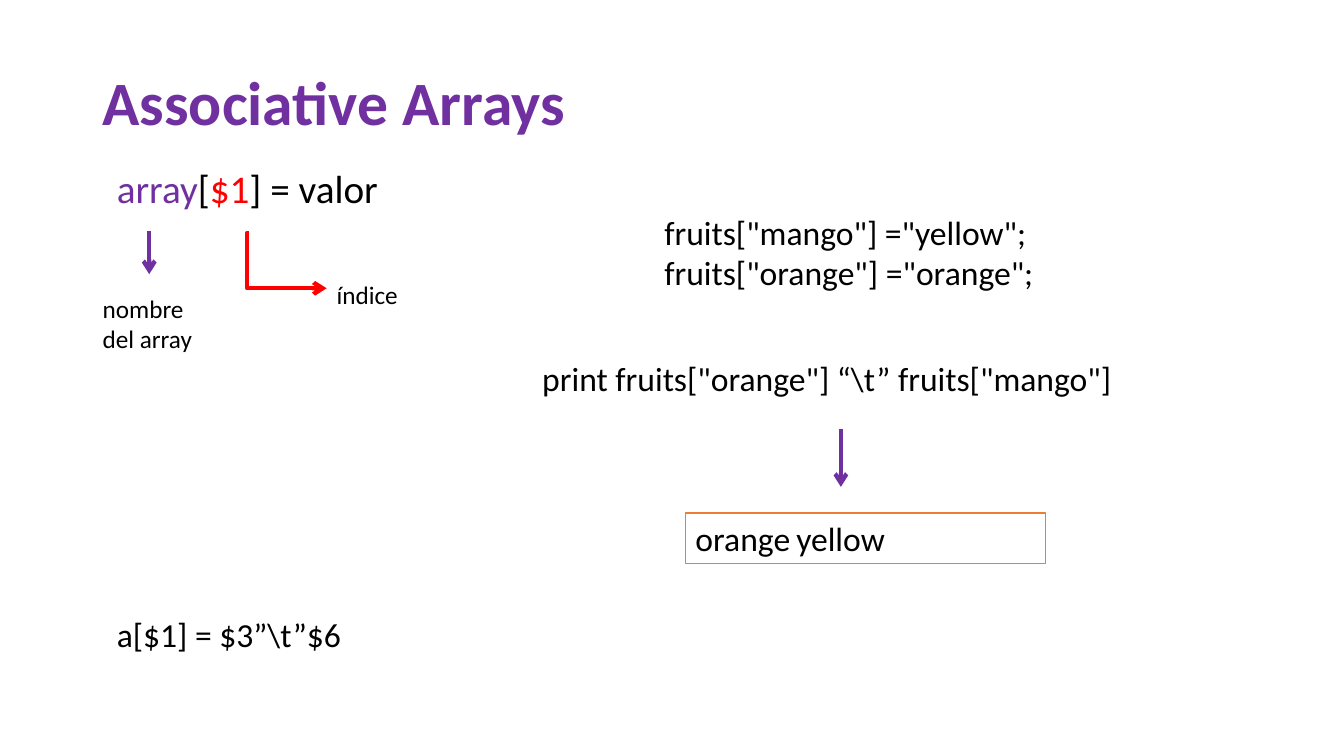
from lxml.etree import SubElement
from pptx import Presentation
from pptx.dml.color import RGBColor
from pptx.enum.shapes import MSO_CONNECTOR as Connector, MSO_SHAPE as Shape
from pptx.enum.text import MSO_ANCHOR as Anchor
from pptx.oxml.ns import qn
from pptx.util import Inches, Pt

COLORS = {"purple": "7030A0", "red": "FF0000", "black": "000000",
          "white": "FFFFFF", "orange": "ED7D31"}
FONT = "Calibri"

# Left edges shared by several parts
MARGIN, CODE_LEFT = 0.92, 1.06

# Each text: box (left, top, width, height), size, paragraphs of (text, color) runs
TITLE = ((MARGIN, 0.32, 11.5, 1.45), 44, [[("Associative Arrays", "purple")]])
SYNTAX = ((CODE_LEFT, 1.63, 4.22, 4.76), 28,
          [[("array", "purple"), ("[", "black"), ("$1", "red"), ("] = valor", "black")]])
OUTPUT = ((6.8, 5.09, 3.57, 0.5), 24, [[("orange\tyellow", "black")]])
TEXTS = [
    ((MARGIN, 2.86, 1.25, 1.01), 18, [[("nombre del array", "black")]]),
    ((3.24, 2.72, 1.11, 0.4), 18, [[("índice", "black")]]),
    ((6.49, 2.05, 5.65, 0.91), 24, [[('fruits["mango"] ="yellow";', "black")],
                                    [('fruits["orange"] ="orange";', "black")]]),
    ((5.28, 3.5, 7.47, 0.5), 24,
     [[('print fruits["orange"] “\\t” fruits["mango"]', "black")]]),
    ((CODE_LEFT, 6.04, 3.92, 0.5), 24, [[("a[$1] = $3”\\t”$6", "black")]]),
]

# Each arrow: kind, start, end, color
NAME_ARROW = (Connector.STRAIGHT, (1.48, 2.29), (1.48, 2.72), "purple")
INDEX_ARROW = (Connector.ELBOW, (2.47, 2.31), (3.24, 2.86), "red")
OUTPUT_ARROW = (Connector.STRAIGHT, (8.34, 4.26), (8.34, 4.83), "purple")
INDEX_BEND = -0.026  # share of the arrow's width


def color(name):
    """Return the named color."""
    return RGBColor.from_string(COLORS[name])


def write(shape, size, paragraphs):
    """Fill a shape with paragraphs of colored runs."""
    frame = shape.text_frame
    frame.word_wrap = True
    for index, runs in enumerate(paragraphs):
        paragraph = frame.add_paragraph() if index else frame.paragraphs[0]
        for text, name in runs:
            run = paragraph.add_run()
            run.text = text
            run.font.name, run.font.size = FONT, Pt(size)
            run.font.color.rgb = color(name)


def add_text(slide, box, size, paragraphs):
    """Add a text box and return its text frame."""
    shape = slide.shapes.add_textbox(*map(Inches, box))
    write(shape, size, paragraphs)
    return shape.text_frame


def add_output(slide, box, size, paragraphs):
    """Add the outlined box with the printed result."""
    shape = slide.shapes.add_shape(Shape.RECTANGLE, *map(Inches, box))
    shape.shadow.inherit = False
    shape.fill.solid()
    shape.fill.fore_color.rgb = color("white")
    shape.line.color.rgb = color("orange")
    shape.line.width = Pt(1)
    shape.text_frame.vertical_anchor = Anchor.TOP
    write(shape, size, paragraphs)
    for paragraph in shape.text_frame.paragraphs:
        paragraph.alignment = 1


def add_arrow(slide, kind, start, end, name):
    """Add a connector with an open arrowhead at its end."""
    arrow = slide.shapes.add_connector(kind, *map(Inches, start + end))
    arrow.line.color.rgb = color(name)
    arrow.line.width = Pt(3)
    properties = arrow._element.spPr
    SubElement(properties.find(qn("a:ln")), qn("a:tailEnd"), type="arrow")
    SubElement(properties, qn("a:effectLst"))
    return arrow


def bend(arrow, share):
    """Place the turn of an elbow arrow at a share of its width."""
    geometry = arrow._element.spPr.find(qn("a:prstGeom"))
    guides = geometry.find(qn("a:avLst"))
    if guides is None:
        guides = SubElement(geometry, qn("a:avLst"))
    SubElement(guides, qn("a:gd"), name="adj1", fmla=f"val {round(share * 100000)}")


presentation = Presentation()
presentation.slide_width, presentation.slide_height = Inches(13.33), Inches(7.5)
slide = presentation.slides.add_slide(presentation.slide_layouts[6])

title = add_text(slide, *TITLE)
title.vertical_anchor = Anchor.MIDDLE
title.paragraphs[0].line_spacing = 0.9
title.paragraphs[0].runs[0].font.bold = True

syntax = add_text(slide, *SYNTAX)
syntax.paragraphs[0].line_spacing = 0.9
syntax.paragraphs[0].space_before = Pt(10)

for text in TEXTS:
    add_text(slide, *text)
add_output(slide, *OUTPUT)
add_arrow(slide, *NAME_ARROW)
bend(add_arrow(slide, *INDEX_ARROW), INDEX_BEND)
add_arrow(slide, *OUTPUT_ARROW)

presentation.save("out.pptx")
